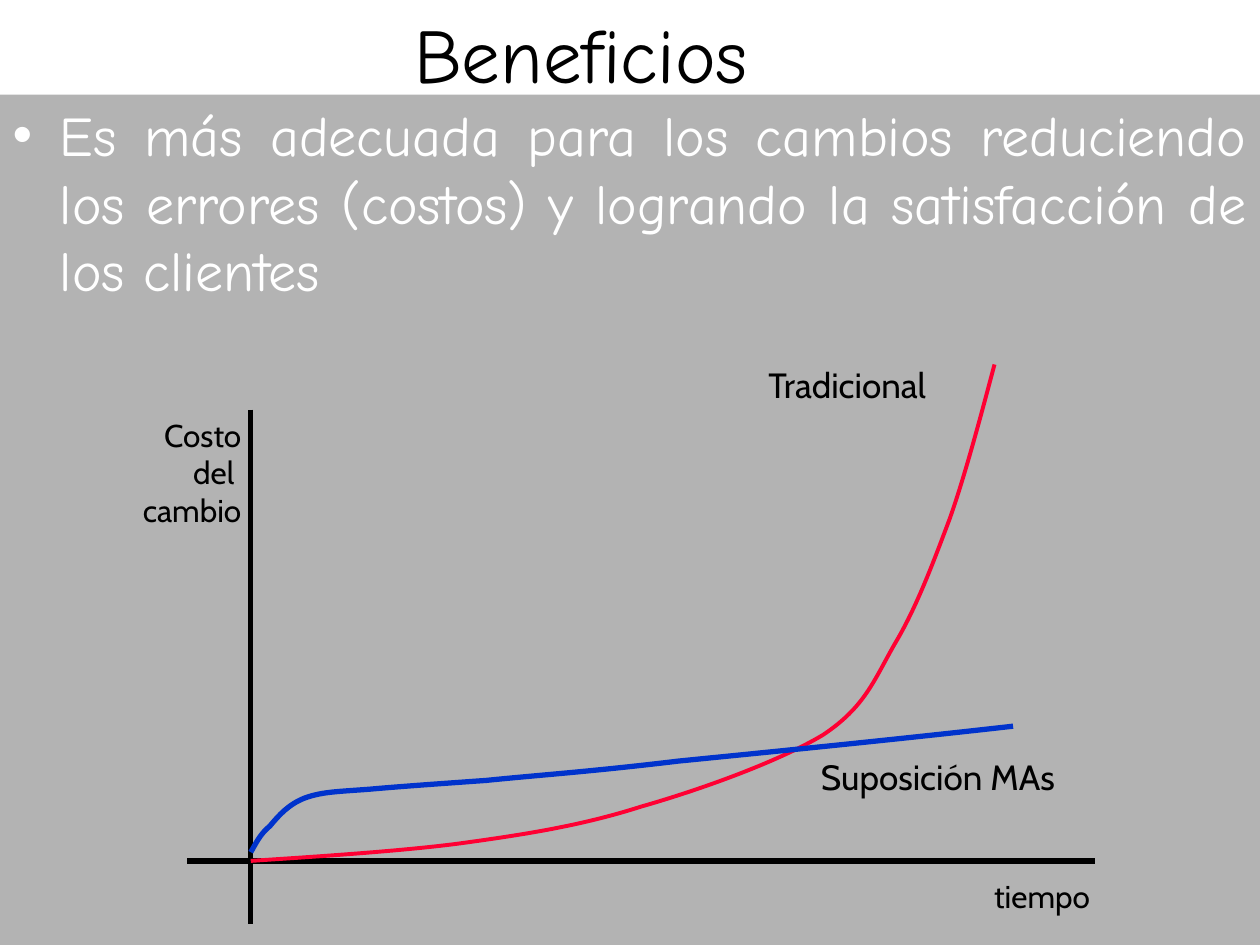
from lxml.etree import SubElement
from pptx import Presentation
from pptx.dml.color import RGBColor
from pptx.enum.shapes import MSO_CONNECTOR
from pptx.enum.text import MSO_ANCHOR, MSO_AUTO_SIZE, PP_ALIGN
from pptx.oxml.ns import qn
from pptx.util import Pt

COLORS = {
    "text": "000000",
    "panel": "B3B3B3",
    "panel_text": "FFFFFF",
    "axis": "000000",
    "traditional": "FF0033",
    "agile": "0033CC",
}

TRADITIONAL_CURVE = [
    (0, 0), (20, 1.4), (82, 5), (119.5, 10), (156, 15), (188.6, 20), (223, 31),
    (258, 41), (302, 57), (327, 72), (351, 88), (356, 103), (368, 124),
    (380, 144), (389.5, 169), (399.6, 196), (409, 222.5), (420, 265), (425, 283.7),
]
AGILE_CURVE = [
    (0, 5), (3, 10), (5, 15), (11, 20), (16, 26), (21.6, 32.4), (31, 36),
    (41, 39.6), (50, 39.6), (68, 41), (85, 42.5), (106, 44), (134.6, 46),
    (164, 49), (194, 51), (244, 57), (294, 62), (365, 69), (435.6, 77),
]


def color(name):
    return RGBColor.from_string(COLORS[name])


def set_attributes(target, values):
    for name, value in values.items():
        setattr(target, name, value)


def place(shape, box):
    names = ("left", "top", "width", "height")
    set_attributes(shape, dict(zip(names, map(Pt, box))))


def write(shape, text, font, size, color_name, alignment, wrap=True):
    frame = shape.text_frame
    frame.text = text
    set_attributes(frame, {
        "word_wrap": wrap,
        "auto_size": MSO_AUTO_SIZE.NONE if wrap else MSO_AUTO_SIZE.SHAPE_TO_FIT_TEXT,
        "vertical_anchor": MSO_ANCHOR.TOP,
    })
    for paragraph in frame.paragraphs:
        set_attributes(paragraph, {"alignment": alignment, "space_before": Pt(0)})
        for run in paragraph.runs:
            set_attributes(run.font, {"name": font, "size": Pt(size)})
            run.font.color.rgb = color(color_name)


def add_title(slide, box):
    title = slide.shapes.title
    place(title, box)
    write(title, "Beneficios", "Comic Neue", 44, "text", PP_ALIGN.CENTER)


def add_benefit_panel(slide, box):
    panel = slide.placeholders[1]
    place(panel, box)
    panel.fill.solid()
    panel.fill.fore_color.rgb = color("panel")
    write(
        panel,
        "Es más adecuada para los cambios reduciendo los errores (costos) "
        "y logrando la satisfacción de los clientes",
        "Comic Neue", 32, "panel_text", PP_ALIGN.JUSTIFY,
    )
    properties = panel.text_frame.paragraphs[0]._p.get_or_add_pPr()
    properties.set("marL", str(Pt(27)))
    properties.set("indent", str(Pt(-27)))
    bullet_color = SubElement(properties, qn("a:buClr"))
    SubElement(bullet_color, qn("a:srgbClr")).set("val", COLORS["panel_text"])
    SubElement(properties, qn("a:buChar")).set("char", "•")


def format_line(line, color_name, width):
    line.color.rgb = color(color_name)
    line.width = Pt(width)


def add_axis(slide, start, end):
    axis = slide.shapes.add_connector(MSO_CONNECTOR.STRAIGHT, *map(Pt, start + end))
    format_line(axis.line, "axis", 3)
    SubElement(axis._element.spPr, qn("a:effectLst"))


def add_curve(slide, origin, points, color_name, width):
    vertices = [(Pt(origin[0] + x), Pt(origin[1] - y)) for x, y in points]
    builder = slide.shapes.build_freeform(*vertices[0])
    builder.add_line_segments(vertices[1:], close=False)
    curve = builder.convert_to_shape()
    outline = next(curve._element.iter(qn("a:path")))
    segments = outline.findall(qn("a:lnTo"))
    for start in range(0, len(segments), 3):
        bezier = SubElement(outline, qn("a:cubicBezTo"))
        for segment in segments[start:start + 3]:
            bezier.append(segment[0])
            outline.remove(segment)
    curve.fill.background()
    curve.shadow.inherit = False
    format_line(curve.line, color_name, width)


def add_cost_chart(slide, box):
    left, top, width, height = box
    origin = (left + 74.3, top + 288)
    add_axis(slide, (origin[0], top + 30), (origin[0], top + height))
    add_axis(slide, (left + 38, origin[1]), (left + width, origin[1]))
    add_curve(slide, origin, TRADITIONAL_CURVE, "traditional", 2.25)
    add_curve(slide, origin, AGILE_CURVE, "agile", 3)
    labels = [
        ("Costo\ndel \ncambio", 18, PP_ALIGN.RIGHT, (0, 30, 76, 72)),
        ("tiempo", 18, PP_ALIGN.LEFT, (492, 293.5, 74, 29)),
        ("Tradicional", 20, PP_ALIGN.LEFT, (363, 0, 118, 32)),
        ("Suposición MAs", 20, PP_ALIGN.LEFT, (393, 224.4, 162, 32)),
    ]
    for text, size, alignment, (x, y, label_width, label_height) in labels:
        label = slide.shapes.add_textbox(
            *map(Pt, (left + x, top + y, label_width, label_height))
        )
        write(label, text, "Cabin", size, "text", alignment, wrap=False)


def main():
    presentation = Presentation()
    set_attributes(presentation, {"slide_width": Pt(720), "slide_height": Pt(540)})
    slide = presentation.slides.add_slide(presentation.slide_layouts[1])
    add_title(slide, (0, 0, 664, 50.4))
    add_benefit_panel(slide, (0, 54, 720, 486))
    add_cost_chart(slide, (69, 204, 557, 324))
    presentation.save("out.pptx")


if __name__ == "__main__":
    main()
